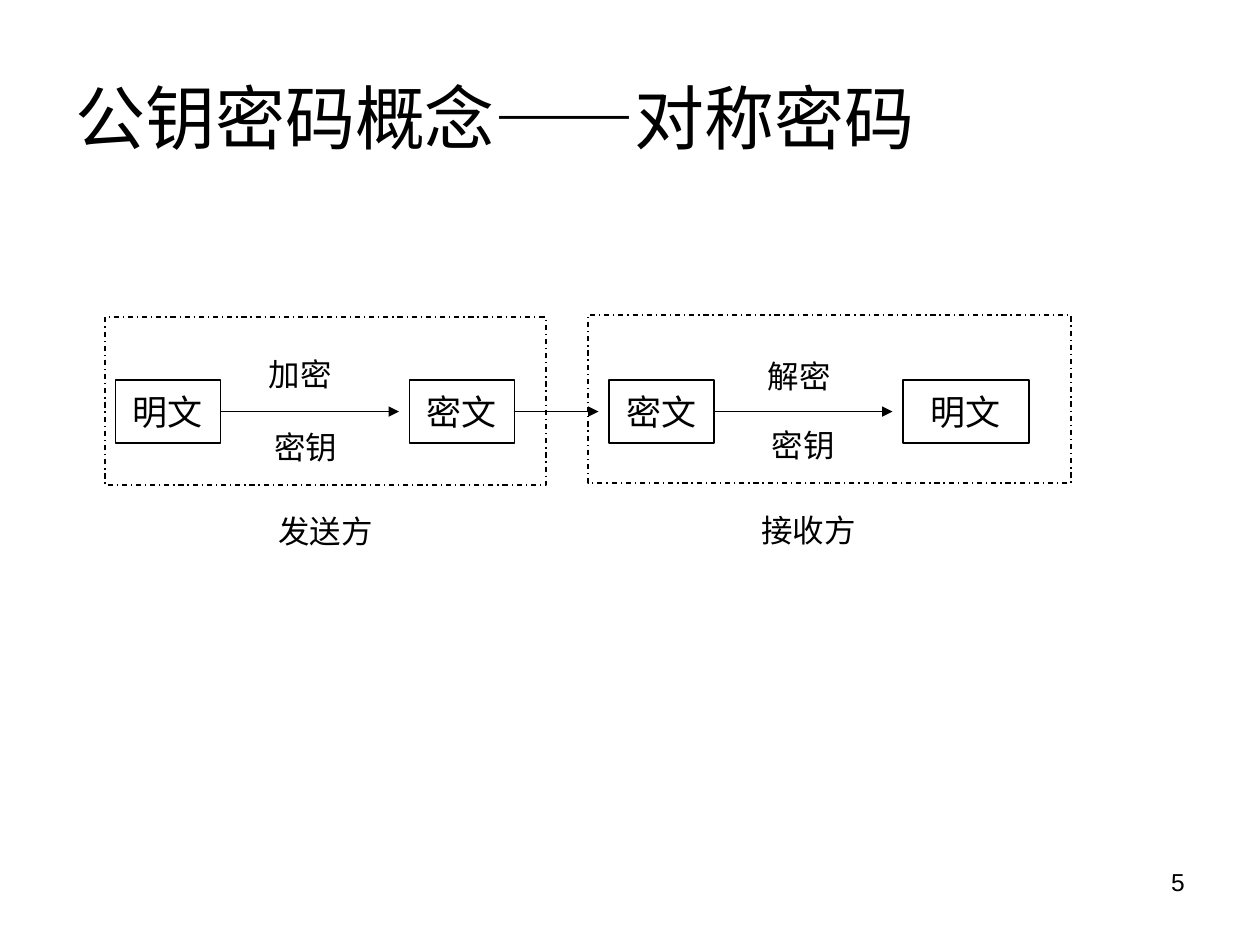
from lxml import etree
from pptx import Presentation
from pptx import util as u
from pptx.dml.color import RGBColor
from pptx.enum import dml, shapes, text
from pptx.oxml.ns import qn

# Content: places are (column, row, columns, rows) on a grid of 1/12 inch
TITLE = [("公钥密码概念——", "serif"), ("对称密码", "sans")]
TITLE_PLACE = (6, 3.6, 108, 15)
PAGE_NUMBER = "5"
NUMBER_PLACE = (86, 82, 28, 6.2)

BOX_ROW, BOX_ROWS = 36.2, 6
BOXES = [("明文", 11, 10), ("密文", 39, 10), ("密文", 58, 10), ("明文", 86, 12)]
ARROW_GAP = 1

LABELS = [
    ("加密", "sans", (20.6, 33.2, 16, 4.8)),
    ("密钥", "sans", (21.6, 40.2, 15, 4.8)),
    ("密钥", "serif", (69, 40, 15, 4.8)),
    ("解密", "serif", (70.6, 33.4, 11, 4.8)),
    ("发送方", "serif", (17, 48.2, 28, 4.8)),
    ("接收方", "serif", (64, 48.1, 26, 4.8)),
]
SIDES = [(10, 30.2, 42, 16), (56, 30, 46, 16)]

THEME = {
    "ink": RGBColor(0, 0, 0),
    "paper": RGBColor(255, 255, 255),
    "serif": "Times New Roman",
    "sans": "Arial",
    "title": 40,
    "box": 20,
    "label": 18,
    "number": 14,
    "line": 0.75,
    "label_space": 11.2,
}


def grid(*cells):
    return [u.Inches(cell / 12) for cell in cells]


def write(shape, spans, size, frame_format, para_format):
    frame = shape.text_frame
    for name, value in frame_format.items():
        setattr(frame, name, value)
    para = frame.paragraphs[0]
    for name, value in para_format.items():
        setattr(para, name, value)
    for words, face in spans:
        span = para.add_run()
        span.text = words
        font_format = {"name": THEME[face], "size": u.Pt(THEME[size])}
        for name, value in font_format.items():
            setattr(span.font, name, value)
        span.font.color.rgb = THEME["ink"]


def add_text(page, place, spans, size, frame_format, para_format):
    box = page.shapes.add_textbox(*grid(*place))
    write(box, spans, size, {"word_wrap": True, **frame_format}, para_format)


def ink_line(shape):
    shape.line.color.rgb = THEME["ink"]
    shape.line.width = u.Pt(THEME["line"])


def add_outline(page, place):
    box = page.shapes.add_shape(shapes.MSO_SHAPE.RECTANGLE, *grid(*place))
    box.shadow.inherit = False
    box.fill.background()
    ink_line(box)
    return box


def add_arrow(page, start_box, start, end):
    row = BOX_ROW + BOX_ROWS / 2
    arrow = page.shapes.add_connector(
        shapes.MSO_CONNECTOR.STRAIGHT, *grid(start, row, end, row))
    arrow.begin_connect(start_box, 3)
    ink_line(arrow)
    etree.SubElement(arrow.line._get_or_add_ln(), qn("a:tailEnd"), type="triangle")
    etree.SubElement(arrow._element.spPr, qn("a:effectLst"))


def main():
    deck = Presentation()
    deck.slide_width, deck.slide_height = grid(120, 90)
    page = deck.slides.add_slide(deck.slide_layouts[6])
    page.background.fill.solid()
    page.background.fill.fore_color.rgb = THEME["paper"]

    # Page number and title
    middle = {"vertical_anchor": text.MSO_ANCHOR.MIDDLE}
    centred = {"alignment": text.PP_ALIGN.CENTER}
    add_text(page, NUMBER_PLACE, [(PAGE_NUMBER, "sans")], "number", {},
             {"alignment": text.PP_ALIGN.RIGHT})
    add_text(page, TITLE_PLACE, TITLE, "title", middle,
             {"alignment": text.PP_ALIGN.LEFT})

    # Message boxes
    boxes = []
    for words, column, columns in BOXES:
        box = add_outline(page, (column, BOX_ROW, columns, BOX_ROWS))
        write(box, [(words, "serif")], "box", {"word_wrap": False, **middle}, centred)
        boxes.append(box)

    # Arrows stop just short of the next box
    for box, (_, column, columns), (_, following, _) in zip(boxes, BOXES, BOXES[1:]):
        add_arrow(page, box, column + columns, following - ARROW_GAP)

    # Labels for steps, keys and parties
    for words, face, place in LABELS:
        add_text(page, place, [(words, face)], "label",
                 {"auto_size": text.MSO_AUTO_SIZE.SHAPE_TO_FIT_TEXT},
                 {"space_before": u.Pt(THEME["label_space"]), **centred})

    # Dashed frames for sender and receiver
    for place in SIDES:
        add_outline(page, place).line.dash_style = dml.MSO_LINE.DASH_DOT

    deck.save("out.pptx")


if __name__ == "__main__":
    main()
